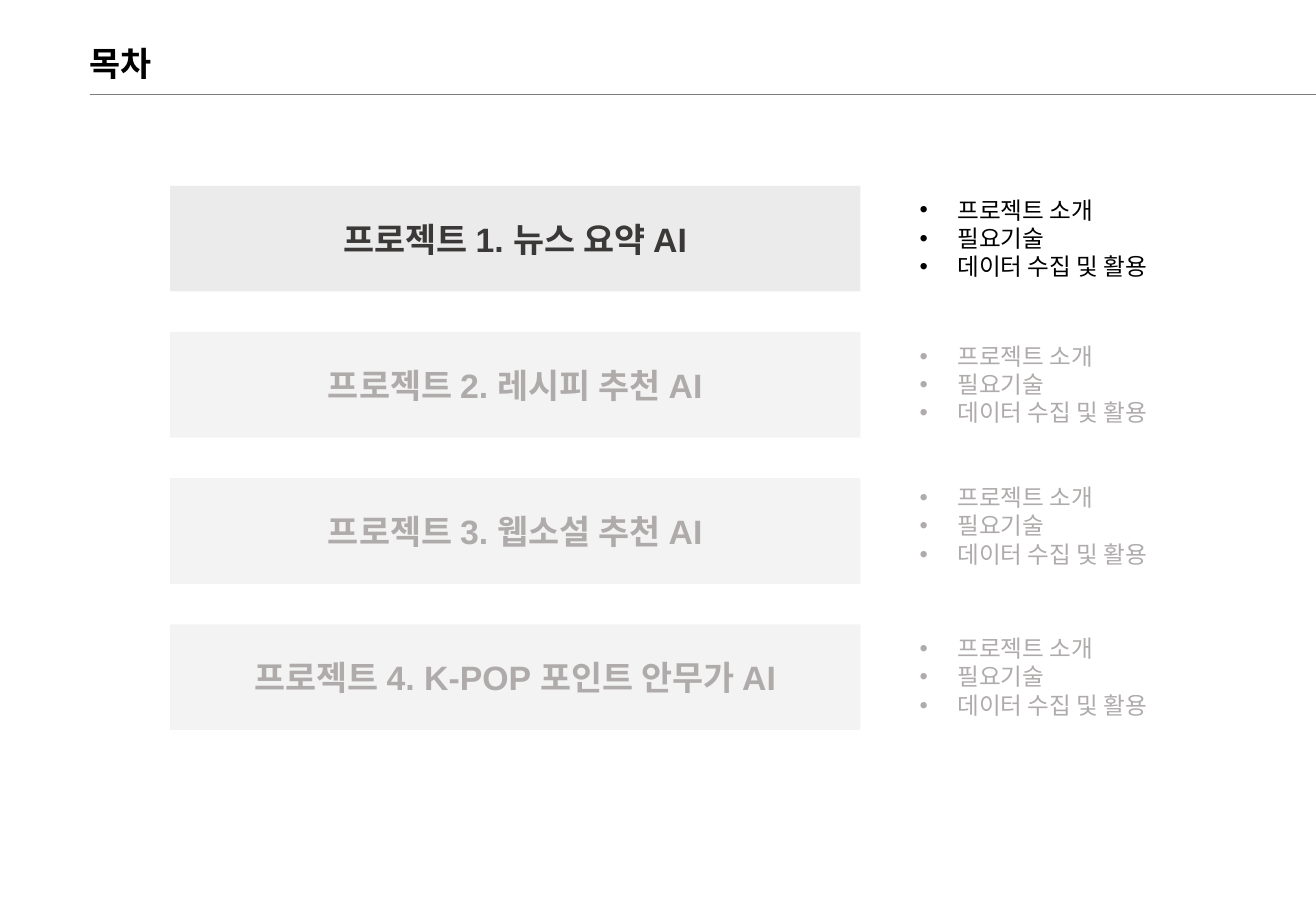
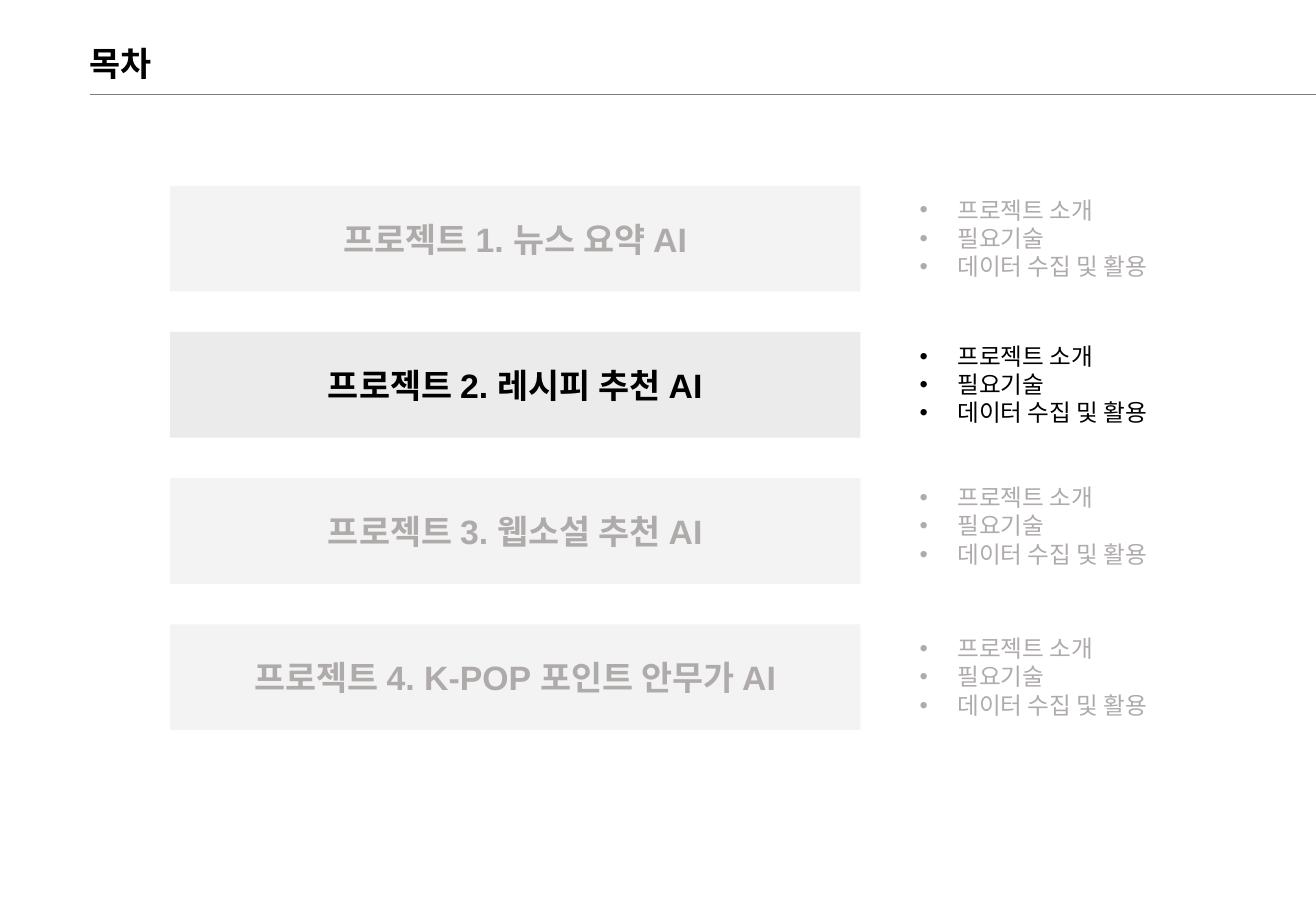
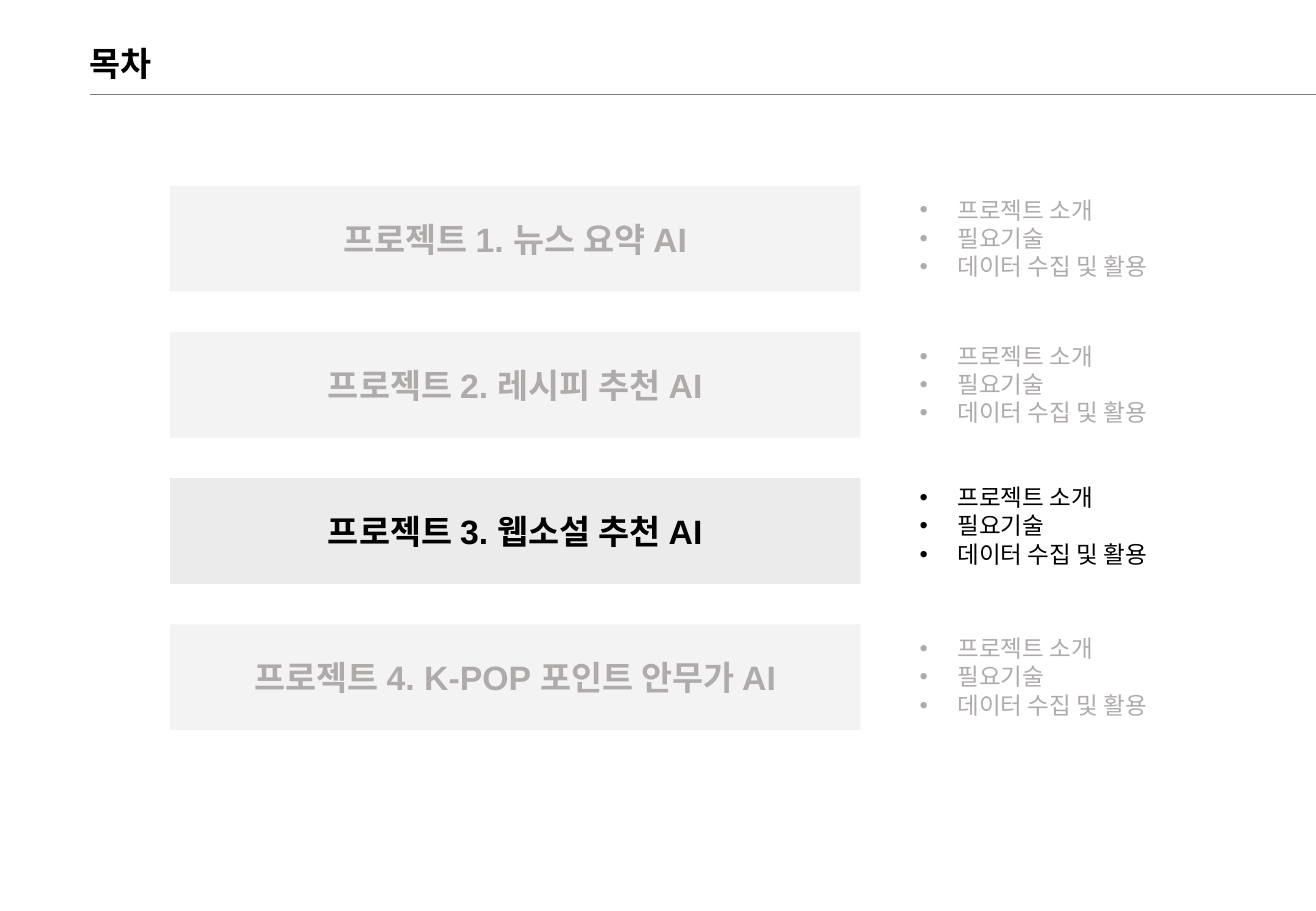
from dataclasses import dataclass

from lxml import etree
from pptx import Presentation
from pptx.dml.color import RGBColor
from pptx.enum.shapes import MSO_CONNECTOR, MSO_SHAPE
from pptx.enum.text import MSO_ANCHOR, MSO_AUTO_SIZE, PP_ALIGN
from pptx.oxml.ns import qn
from pptx.shapes.group import GroupShape
from pptx.slide import Slide
from pptx.text.text import TextFrame, _Paragraph as Para
from pptx.util import Inches, Pt

STRAIGHT = MSO_CONNECTOR.STRAIGHT
RECT = MSO_SHAPE.RECTANGLE
MIDDLE = MSO_ANCHOR.MIDDLE
GROW = MSO_AUTO_SIZE.SHAPE_TO_FIT_TEXT
CENTER = PP_ALIGN.CENTER


@dataclass(frozen=True)
class Theme:
    black: str = "000000"
    dark: str = "3B3838"
    dim: str = "AFABAB"
    bar: str = "E7E6E6"
    rule: str = "7C7C7C"
    head: str = "Arial"
    body: str = "Calibri"
    big: int = 20
    small: int = 14
    strong: int = 79
    faint: int = 47


@dataclass(frozen=True)
class Row:
    title: str
    nudge: float = 0


THEME = Theme()
WIDTH, HEIGHT = 10.83, 7.5
TOP, PITCH = 1.53, 3.61 / 3
INDENT = 0.31
ROWS = (
    Row("프로젝트 1. 뉴스 요약 AI"),
    Row("프로젝트 2. 레시피 추천 AI"),
    Row("프로젝트 3. 웹소설 추천 AI", -0.04),
    Row("프로젝트 4. K-POP 포인트 안무가 AI"),
)
TOPICS = ("프로젝트 소개", "필요기술", "데이터 수집 및 활용")
# Title colour of the highlighted row on each slide
ACCENTS = (THEME.dark, THEME.black, THEME.black)


def add_run(para: Para, text: str, font: str, size: int, color: str,
            bold: bool = False) -> None:
    run = para.add_run()
    run.text = text
    run.font.name = font
    run.font.size = Pt(size)
    run.font.bold = bold
    run.font.color.rgb = RGBColor.from_string(color)


def add_box(owner: Slide | GroupShape, left: float, top: float,
            width: float, height: float) -> TextFrame:
    """Add a text box that grows with its unwrapped text."""
    box = owner.shapes.add_textbox(
        Inches(left), Inches(top), Inches(width), Inches(height))
    frame = box.text_frame
    frame.word_wrap = False
    frame.auto_size = GROW
    return frame


def add_head(slide: Slide) -> None:
    line = slide.shapes.add_connector(
        STRAIGHT, Inches(0.74), Inches(0.78), Inches(WIDTH), Inches(0.78))
    line.line.color.rgb = RGBColor.from_string(THEME.rule)
    line.line.width = Pt(0.5)
    etree.SubElement(line.element.spPr, qn("a:effectLst"))
    frame = add_box(slide, 0.64, 0.3, 0.76, 0.44)
    add_run(frame.paragraphs[0], "목차", THEME.head, THEME.big,
            THEME.black, True)


def add_bar(group: GroupShape, top: float, title: str, color: str,
            alpha: int) -> None:
    bar = group.shapes.add_shape(
        RECT, Inches(1.4), Inches(top), Inches(5.68), Inches(0.87))
    bar.shadow.inherit = False
    bar.line.fill.background()
    bar.fill.solid()
    bar.fill.fore_color.rgb = RGBColor.from_string(THEME.bar)
    tint = bar.element.spPr.find(qn("a:solidFill")).find(qn("a:srgbClr"))
    etree.SubElement(tint, qn("a:alpha"), val=str(alpha * 1000))
    frame = bar.text_frame
    frame.vertical_anchor = MIDDLE
    para = frame.paragraphs[0]
    para.alignment = CENTER
    add_run(para, title, THEME.head, THEME.big, color, True)


def add_bullet(para: Para) -> None:
    props = para._p.get_or_add_pPr()
    props.set("marL", str(Inches(INDENT)))
    props.set("indent", str(-Inches(INDENT)))
    etree.SubElement(props, qn("a:buFont"), typeface=THEME.head)
    etree.SubElement(props, qn("a:buChar"), char="•")


def add_list(group: GroupShape, top: float, color: str) -> None:
    frame = add_box(group, 7.47, top, 2.22, 0.81)
    for i, topic in enumerate(TOPICS):
        para = frame.add_paragraph() if i else frame.paragraphs[0]
        add_bullet(para)
        add_run(para, topic, THEME.body, THEME.small, color)


def add_rows(slide: Slide, active: int, accent: str) -> None:
    for i, row in enumerate(ROWS):
        top = TOP + i * PITCH
        lit = i == active
        group = slide.shapes.add_group_shape()
        add_bar(group, top, row.title, accent if lit else THEME.dim,
                THEME.strong if lit else THEME.faint)
        add_list(group, top + 0.03 + row.nudge,
                 THEME.black if lit else THEME.dim)


def main() -> None:
    deck = Presentation()
    deck.slide_width = Inches(WIDTH)
    deck.slide_height = Inches(HEIGHT)
    blank = deck.slide_layouts[6]
    for active, accent in enumerate(ACCENTS):
        slide = deck.slides.add_slide(blank)
        add_head(slide)
        add_rows(slide, active, accent)
    deck.save("out.pptx")


if __name__ == "__main__":
    main()
